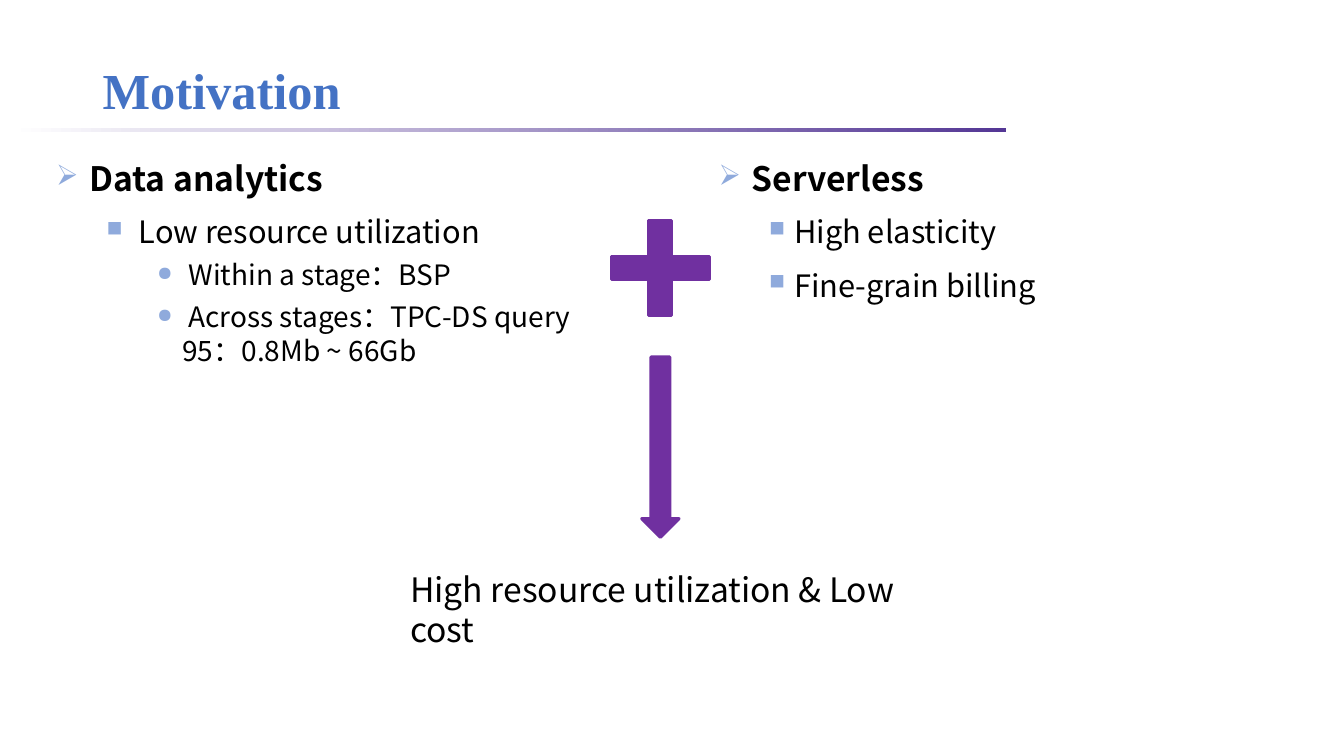
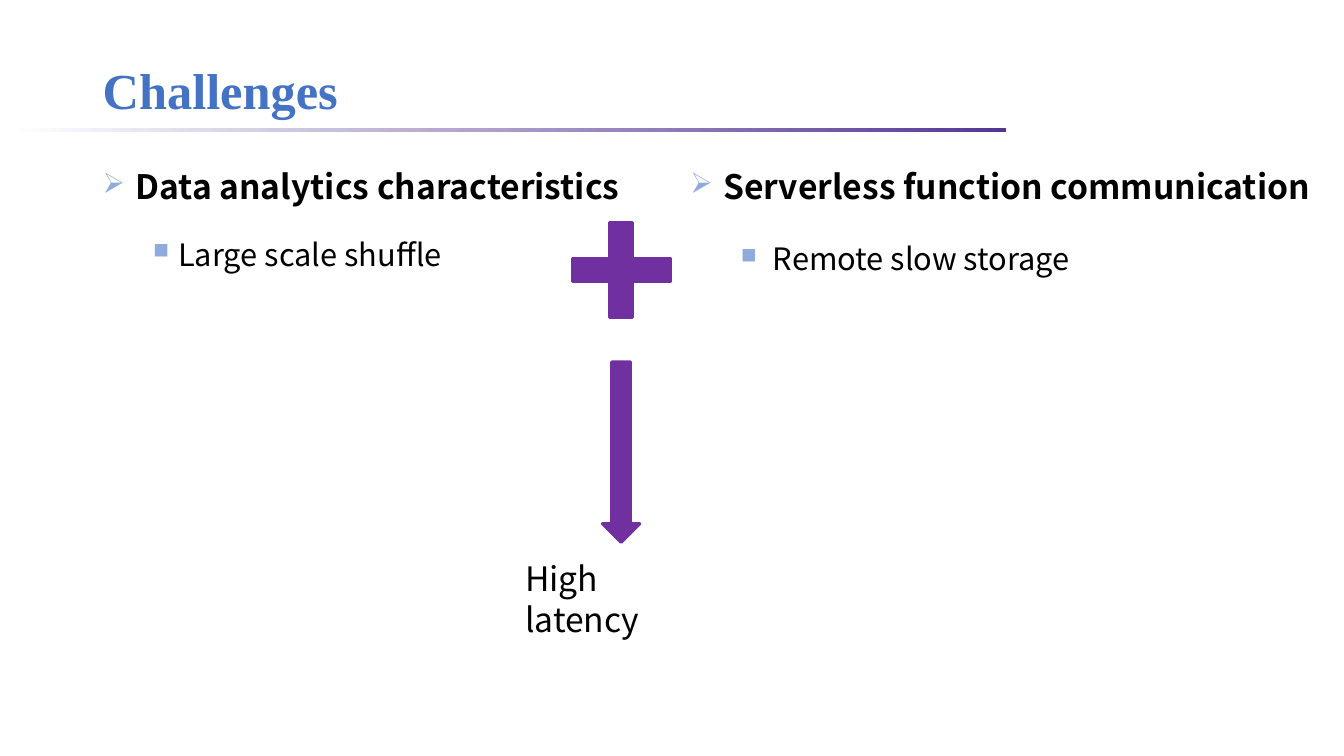
from lxml.etree import SubElement
from pptx import Presentation
from pptx.dml.color import RGBColor
from pptx.enum.shapes import MSO_SHAPE as Shape
from pptx.enum.text import MSO_ANCHOR as Anchor
from pptx.oxml.ns import qn
from pptx.util import Inches, Pt

TITLE_BLUE, BULLET_BLUE = "4472C4", "8FAADC"
PURPLE, BAND_END = "7030A0", "543795"
BLACK, WHITE = "000000", "FFFFFF"
TITLE_FONT, BODY_FONT = "Times New Roman", "Noto Sans CJK SC"

# level: (size, bold, bullet, bullet percent, indent, space before)
LEVELS = [
    (24, True, "➢", 85, 0.25, 12),
    (22, False, "■", 70, 0.75, 10),
    (20, False, "●", 70, 1.25, 6),
]
HANGING = 0.25
BAR_LONG, BAR_TALL, BAR_THICK = 0.97, 0.94, 0.23
ARROW_WIDTH, ARROW_HEIGHT = 0.37, 1.79

SLIDES = [
    {
        "title": "Motivation",
        "heading_spacing": 1.2,
        "point_spacing": 1.0,
        "columns": [
            ((7.03, 1.44, 5.67, 4.15), [
                (0, " Serverless"),
                (1, "High elasticity"),
                (1, "Fine-grain billing", 12),
            ]),
            ((0.46, 1.44, 5.67, 4.15), [
                (0, " Data analytics"),
                (1, " Low resource utilization"),
                (2, " Within a stage：BSP"),
                (2, " Across stages：TPC-DS query 95：0.8Mb ~ 66Gb"),
            ]),
        ],
        "plus_center": (6.55, 2.66),
        "arrow_top": 3.54,
        "outcome": ((3.97, 5.59, 5.39, 0.5), "High resource utilization & Low cost"),
    },
    {
        "title": "Challenges",
        "heading_spacing": 1.4,
        "point_spacing": 1.4,
        "columns": [
            ((0.92, 1.44, 5.67, 5.31), [
                (0, " Data analytics characteristics"),
                (1, "Large scale shuffle"),
            ]),
            ((6.75, 1.44, 6.58, 5.31), [
                (0, " Serverless function communication"),
                (1, " Remote slow storage", 13),
            ]),
        ],
        "plus_center": (6.16, 2.68),
        "arrow_top": 3.59,
        "outcome": ((5.11, 5.49, 2.09, 0.5), "High latency"),
    },
]


def color(value):
    return RGBColor.from_string(value)


def add_frame(slide, box, anchor=Anchor.TOP):
    frame = slide.shapes.add_textbox(*map(Inches, box)).text_frame
    frame.word_wrap = True
    frame.vertical_anchor = anchor
    return frame


def add_run(paragraph, text, size, font=BODY_FONT, ink=BLACK, bold=False):
    run = paragraph.add_run()
    run.text = text
    run.font.size = Pt(size)
    run.font.bold = bold
    run.font.color.rgb = color(ink)
    run.font.name = font
    SubElement(run.font._element, qn("a:ea"), typeface=font)


def set_bullet(paragraph, mark, percent, indent):
    props = paragraph._p.get_or_add_pPr()
    props.set("marL", str(Inches(indent)))
    props.set("indent", str(-Inches(HANGING)))
    tint = SubElement(props, qn("a:buClr"))
    SubElement(tint, qn("a:srgbClr"), val=BULLET_BLUE)
    SubElement(props, qn("a:buSzPct"), val=str(percent * 1000))
    SubElement(props, qn("a:buChar"), char=mark)


def add_header(slide, title):
    band = slide.shapes.add_shape(Shape.RECTANGLE, *map(Inches, (0.11, 1.27, 9.87, 0.04)))
    band.shadow.inherit = False
    band.line.fill.background()
    band.fill.gradient()
    band.fill.gradient_angle = 0
    for stop, tint in zip(band.fill.gradient_stops, (WHITE, BAND_END)):
        stop.color.rgb = color(tint)
    heading = add_frame(slide, (0.92, 0.4, 11.5, 0.85), Anchor.MIDDLE).paragraphs[0]
    heading.line_spacing = 1.2
    add_run(heading, title, 36, TITLE_FONT, TITLE_BLUE, True)


def add_column(slide, box, points, heading_spacing, point_spacing):
    frame = add_frame(slide, box)
    for index, (level, text, *own_space) in enumerate(points):
        size, bold, mark, percent, indent, space = LEVELS[level]
        paragraph = frame.add_paragraph() if index else frame.paragraphs[0]
        paragraph.level = level
        paragraph.line_spacing = point_spacing if level else heading_spacing
        paragraph.space_before = Pt(own_space[0] if own_space else space)
        set_bullet(paragraph, mark, percent, indent)
        add_run(paragraph, text, size, bold=bold)


def add_purple(slide, kind, center_x, top, width, height):
    box = (center_x - width / 2, top, width, height)
    part = slide.shapes.add_shape(kind, *map(Inches, box))
    part.shadow.inherit = False
    part.fill.solid()
    part.fill.fore_color.rgb = color(PURPLE)
    part.line.color.rgb = color(PURPLE)
    part.line.width = Pt(2.25)


def add_plus_and_arrow(slide, center, arrow_top):
    x, y = center
    for width, height in ((BAR_LONG, BAR_THICK), (BAR_THICK, BAR_TALL)):
        add_purple(slide, Shape.RECTANGLE, x, y - height / 2, width, height)
    add_purple(slide, Shape.DOWN_ARROW, x, arrow_top, ARROW_WIDTH, ARROW_HEIGHT)


def main():
    deck = Presentation()
    deck.slide_width, deck.slide_height = Inches(13.33), Inches(7.5)
    for content in SLIDES:
        slide = deck.slides.add_slide(deck.slide_layouts[6])
        add_header(slide, content["title"])
        for box, points in content["columns"]:
            add_column(slide, box, points, content["heading_spacing"], content["point_spacing"])
        add_plus_and_arrow(slide, content["plus_center"], content["arrow_top"])
        outcome_box, outcome = content["outcome"]
        add_run(add_frame(slide, outcome_box).paragraphs[0], outcome, 24)
    deck.save("out.pptx")


if __name__ == "__main__":
    main()
